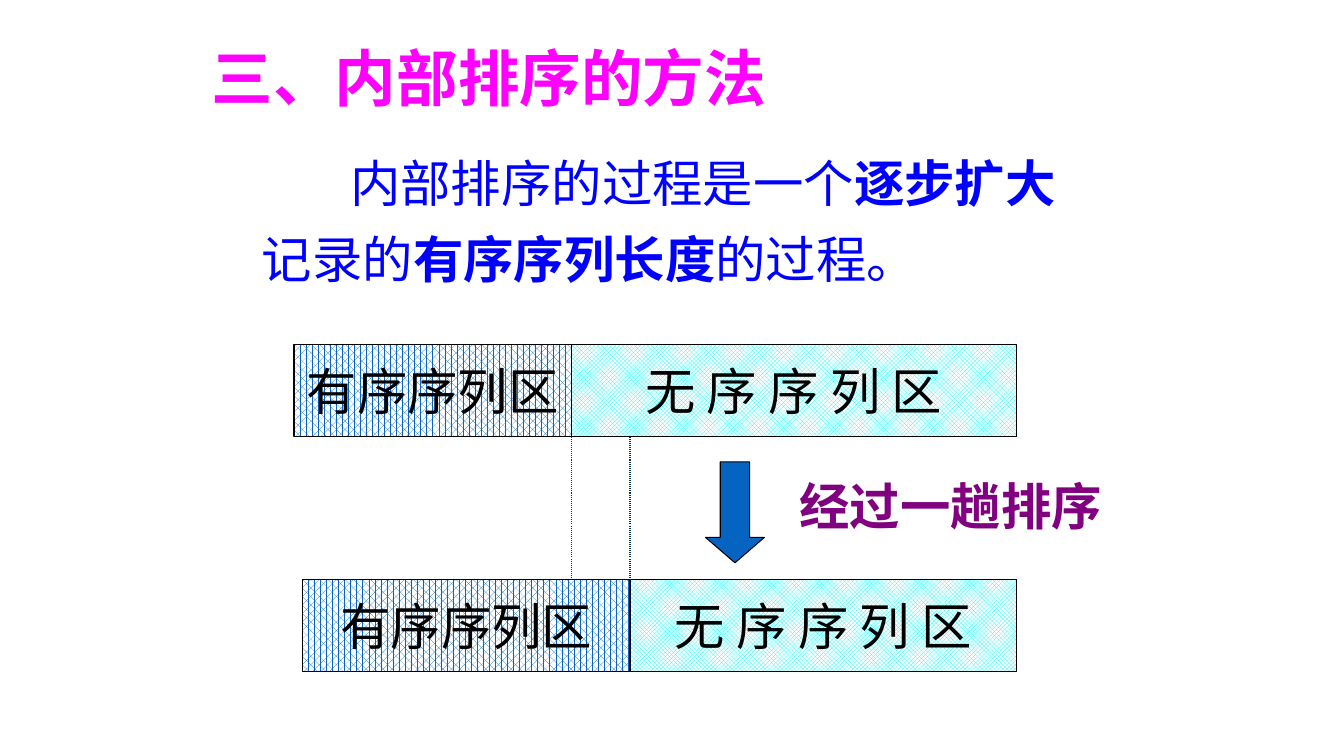
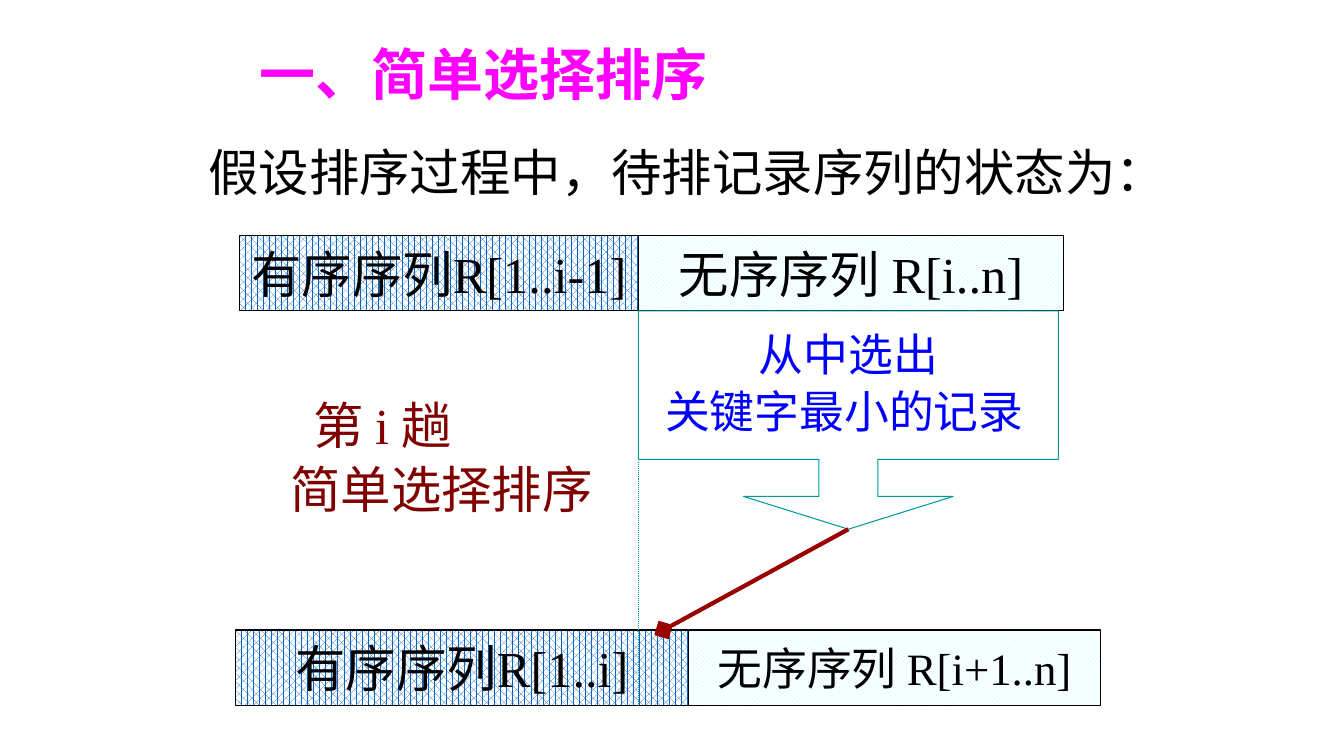
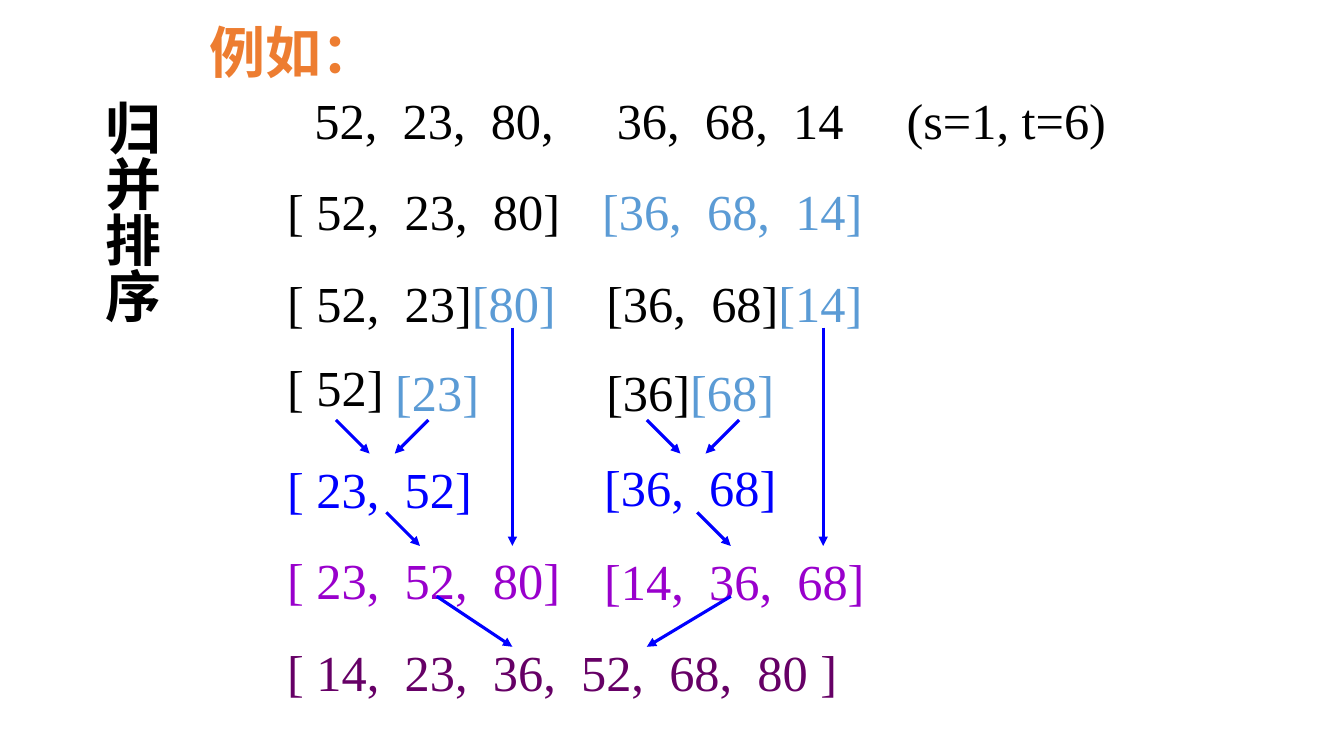
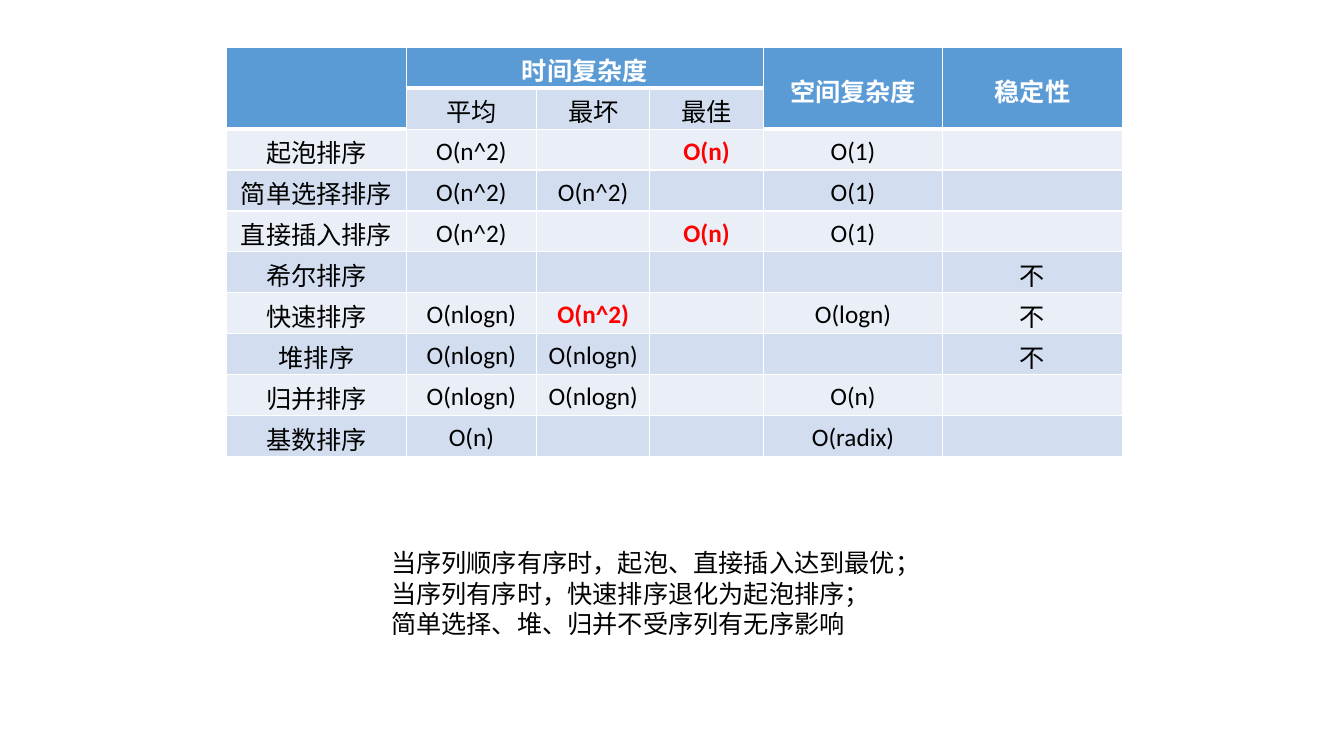
import dataclasses

import lxml.etree
import pptx
import pptx.dml.color
import pptx.enum.dml
import pptx.enum.lang
import pptx.enum.shapes
import pptx.enum.text
import pptx.oxml.ns
import pptx.util

PX = 9525
SHAPE = pptx.enum.shapes.MSO_SHAPE
ALIGN = pptx.enum.text.PP_ALIGN
ANCHOR = pptx.enum.text.MSO_ANCHOR
PATTERN = pptx.enum.dml.MSO_PATTERN
DASH = pptx.enum.dml.MSO_LINE
qn = pptx.oxml.ns.qn


@dataclasses.dataclass(frozen=True)
class Theme:
    serif: str = "Times New Roman"
    sans: str = "Calibri"
    black: str = "000000"
    white: str = "FFFFFF"
    title: str = "FF00FF"
    example: str = "ED7D31"
    blue: str = "0000FF"
    sorted_area: str = "0563C1"
    unsorted_area: str = "00FFFF"
    pale_area: str = "CCFFFF"
    guide: str = "003366"
    teal: str = "009999"
    caption: str = "800080"
    maroon: str = "800000"
    pick: str = "990000"
    second_half: str = "5B9BD5"
    merged: str = "9900CC"
    result: str = "660066"
    header: str = "5B9BD5"
    band_dark: str = "D2DEEF"
    band_light: str = "EAEFF7"
    highlight: str = "FF0000"
    heading_size: int = 44
    title_size: int = 40
    body_size: int = 36
    label_size: int = 32
    small_size: int = 18


THEME = Theme()
BODY = {"name": THEME.serif, "size": THEME.body_size, "bold": False, "color": THEME.black}
SMALL = {**BODY, "name": THEME.sans, "size": THEME.small_size}


def px(*lengths):
    return [pptx.util.Emu(length * PX) for length in lengths]


def rgb(value):
    return pptx.dml.color.RGBColor.from_string(value)


def write(frame, paragraphs, look, align=ALIGN.LEFT, anchor=ANCHOR.TOP, wrap=False,
          spacing=None, indent=0, stops=()):
    """Fill a frame; a paragraph is a list of (text, changes to look), indent is for the first."""
    settings = {"word_wrap": wrap, "vertical_anchor": anchor,
                "auto_size": pptx.enum.text.MSO_AUTO_SIZE.NONE}
    for key, value in settings.items():
        setattr(frame, key, value)
    for number, runs in enumerate(paragraphs):
        paragraph = frame.add_paragraph() if number else frame.paragraphs[0]
        paragraph.alignment = align
        if spacing:
            paragraph.line_spacing = spacing
        properties = paragraph._p.get_or_add_pPr()
        if indent and number == 0:
            properties.set("indent", str(indent * PX))
        if stops:
            tab_list = lxml.etree.SubElement(properties, qn("a:tabLst"))
            for stop in stops:
                lxml.etree.SubElement(tab_list, qn("a:tab"), pos=str(stop * PX), algn="l")
        for text, changes in runs:
            run = paragraph.add_run()
            run.text = text
            values = {**look, **changes}
            run.font.color.rgb = rgb(values.pop("color"))
            values["size"] = pptx.util.Pt(values["size"])
            values["language_id"] = pptx.enum.lang.MSO_LANGUAGE_ID.SIMPLIFIED_CHINESE
            for key, value in values.items():
                setattr(run.font, key, value)


def add_text(slide, box, paragraphs, look=BODY, **layout):
    frame = slide.shapes.add_textbox(*px(*box)).text_frame
    write(frame, paragraphs, look, **layout)
    return frame


def titled_slide(deck, box, text, **changes):
    slide = deck.slides.add_slide(deck.slide_layouts[5])
    title = slide.shapes.title
    for side, length in zip(("left", "top", "width", "height"), px(*box)):
        setattr(title, side, length)
    look = {**BODY, "size": THEME.title_size, "bold": True, "color": THEME.title}
    write(title.text_frame, [[(text, changes)]], look, wrap=True)
    return slide


def add_shape(slide, kind, box, line, adjustments=()):
    shape = slide.shapes.add_shape(kind, *px(*box))
    shape.shadow.inherit = False
    shape.line.color.rgb = rgb(line)
    shape.line.width = pptx.util.Pt(0.75)
    for number, value in enumerate(adjustments):
        shape.adjustments[number] = value
    return shape


def add_line(slide, ends, color, width=0.75, dash=None, tip=None, tip_size="med"):
    connector = slide.shapes.add_connector(
        pptx.enum.shapes.MSO_CONNECTOR.STRAIGHT, *px(*ends))
    lxml.etree.SubElement(connector._element.spPr, qn("a:effectLst"))
    connector.line.color.rgb = rgb(color)
    connector.line.width = pptx.util.Pt(width)
    if dash:
        connector.line.dash_style = dash
    if tip:
        lxml.etree.SubElement(connector.line._get_or_add_ln(), qn("a:tailEnd"),
                              type=tip, w=tip_size, len=tip_size)
    return connector


def sequence_bar(slide, box, sorted_width, labels, unsorted_color, unsorted_size=THEME.body_size):
    """Draw a record sequence split into its sorted and unsorted areas."""
    left, top, width, height = box
    areas = (
        (left, sorted_width, PATTERN.PERCENT_60, THEME.sorted_area, THEME.body_size),
        (left + sorted_width, width - sorted_width, PATTERN.TRELLIS, unsorted_color, unsorted_size),
    )
    for label, (start, extent, pattern, color, size) in zip(labels, areas):
        area = add_shape(slide, SHAPE.RECTANGLE, (start, top, extent, height), THEME.black)
        area.fill.patterned()
        area.fill.pattern = pattern
        area.fill.fore_color.rgb = rgb(color)
        area.fill.back_color.rgb = rgb(THEME.white)
        write(area.text_frame, [[(label, {"size": size})]], BODY,
              align=ALIGN.CENTER, anchor=ANCHOR.MIDDLE)


def methods_slide(deck):
    slide = titled_slide(deck, (192, 33, 640, 80), "三、内部排序的方法", size=THEME.heading_size)
    bold = {"bold": True}
    add_text(slide, (240, 126, 824, 162), [
        [("内部排序的过程是一个", {}), ("逐步扩大", bold)],
        [("记录的", {}), ("有序序列长度", bold), ("的过程。", {})],
    ], {**BODY, "color": THEME.blue}, wrap=True, spacing=1.25, indent=84)
    add_text(slide, (752, 448, 368, 67),
             [[("经过一趟排序", {"color": THEME.caption, "bold": True})]])
    right, height, before, after = 968, 88, 328, 552
    for left, top, split in ((280, before, 544), (288, after, 600)):
        sequence_bar(slide, (left, top, right - left, height), split - left,
                     ("有序序列区", "无 序 序 列 区"), THEME.unsorted_area)
        add_line(slide, (split, before + height, split, after), THEME.guide, dash=DASH.ROUND_DOT)
    step = add_shape(slide, SHAPE.DOWN_ARROW, (672, 440, 56, 96), THEME.black, (0.5, 0.43))
    step.fill.solid()
    step.fill.fore_color.rgb = rgb(THEME.sorted_area)


def selection_slide(deck):
    slide = titled_slide(deck, (238, 33, 540, 74), "一、简单选择排序")
    add_text(slide, (189, 130, 931, 67), [[("假设排序过程中，待排记录序列的状态为：", {})]])
    sequence_bar(slide, (228, 224, 785, 72), 380,
                 ("有序序列R[1..i-1]", "无序序列 R[i..n]"), THEME.pale_area)
    add_text(slide, (267, 368, 325, 131), [[("第 i 趟", {})], [("简单选择排序", {})]],
             {**BODY, "color": THEME.maroon}, wrap=True, spacing=1.05, indent=22)
    choice = add_text(slide, (624, 304, 368, 118), [[("从中选出", {})], [("关键字最小的记录", {})]],
                      {**BODY, "color": THEME.blue, "size": THEME.label_size},
                      align=ALIGN.CENTER, wrap=True, spacing=1.05)
    choice.paragraphs[1].alignment = ALIGN.LEFT
    callout = add_shape(slide, SHAPE.DOWN_ARROW_CALLOUT, (608, 296, 400, 208), THEME.teal,
                        (0.27, 0.48, 0.15, 0.68))
    callout.fill.background()
    sequence_bar(slide, (224, 600, 824, 72), 432,
                 ("有序序列R[1..i]", "无序序列 R[i+1..n]"), THEME.pale_area, THEME.label_size)
    pick = add_line(slide, (808, 504, 632, 600), THEME.pick, 3, tip="diamond", tip_size="lg")
    pick.begin_connect(callout, 2)
    add_line(slide, (608, 440, 608, 672), THEME.teal, dash=DASH.ROUND_DOT)


def number_row(slide, left, top, runs, stops=None):
    """Write a row of numbers set on tabs one number pitch apart after its opening bracket."""
    pitch, space, bracket = 84, 12, 16
    lead = bracket + (space if runs[0][0].startswith("[ ") else 0)
    stops = stops or [lead + pitch * place for place in range(1, 6)]
    add_text(slide, (left, top, 860, 67),
             [[(text, {"color": color}) for text, color in runs]], wrap=True, stops=stops)


def merge_slide(deck):
    slide = titled_slide(deck, (190, 12, 240, 74), "例如：", color=THEME.example)
    black, half = THEME.black, THEME.second_half
    number_row(slide, 290, 80, [("52,\t23,\t80,\t36,\t68,\t14\t(s=1, t=6)", black)],
               (84, 168, 288, 372, 456, 564))
    number_row(slide, 264, 167, [("[ 52,\t23,\t80]\t", black), ("[36,\t68,\t14]", half)],
               (112, 196, 300, 400, 484))
    rows = (
        (264, 254, [("[ 52,\t23]", black), ("[80]", half)]),
        (264, 334, [("[ 52]", black)]),
        (264, 432, [("[ 23,\t52]", THEME.blue)]),
        (264, 518, [("[ 23,\t52,\t80]", THEME.merged)]),
        (568, 254, [("[36,\t68]", black), ("[14]", half)]),
        (568, 339, [("[36]", black), ("[68]", half)]),
        (566, 430, [("[36,\t68]", THEME.blue)]),
        (566, 519, [("[14,\t36,\t68]", THEME.merged)]),
        (264, 606, [("[ 14,\t23,\t36,\t52,\t68,\t80 ]", THEME.result)]),
        (367, 339, [("[23]", half)]),
    )
    for row in rows:
        number_row(slide, *row)
    half_merges = ((320, 400, 352, 432), (408, 400, 376, 432),
                   (368, 488, 400, 520), (488, 312, 488, 520))
    merges = [(x1 + shift, y1, x2 + shift, y2)
              for shift in (0, 296) for x1, y1, x2, y2 in half_merges]
    for ends in merges + [(416, 568, 488, 616), (696, 568, 616, 616)]:
        add_line(slide, ends, THEME.blue, 2.25, tip="triangle")
    method = add_text(slide, (78, 86, 84, 222), [[("归并排序", {})]],
                      {**BODY, "name": THEME.sans, "size": THEME.title_size, "bold": True})
    method._txBody.bodyPr.set("vert", "eaVert")


def add_borders(cell, bottom):
    properties = cell._tc.get_or_add_tcPr()
    for side, width in (("L", 1), ("R", 1), ("T", 1), ("B", bottom)):
        border = lxml.etree.SubElement(properties, qn("a:ln" + side), w=str(pptx.util.Pt(width)))
        fill = lxml.etree.SubElement(border, qn("a:solidFill"))
        lxml.etree.SubElement(fill, qn("a:srgbClr"), val=THEME.white)


def complexity_table(slide, left, top):
    widths, row_height = (171, 124, 108, 108, 171, 171), 39
    rows = (
        ("", "时间复杂度", "", "", "空间复杂度", "稳定性"),
        ("", "平均", "最坏", "最佳", "", ""),
        ("起泡排序", "O(n^2)", "", "O(n)", "O(1)", ""),
        ("简单选择排序", "O(n^2)", "O(n^2)", "", "O(1)", ""),
        ("直接插入排序", "O(n^2)", "", "O(n)", "O(1)", ""),
        ("希尔排序", "", "", "", "", "不"),
        ("快速排序", "O(nlogn)", "O(n^2)", "", "O(logn)", "不"),
        ("堆排序", "O(nlogn)", "O(nlogn)", "", "", "不"),
        ("归并排序", "O(nlogn)", "O(nlogn)", "", "O(n)", ""),
        ("基数排序", "O(n)", "", "", "O(radix)", ""),
    )
    highlights = {(2, 3), (4, 3), (6, 2)}
    tall_headers = (0, 4, 5)
    top_margin, bottom_margin = px(4, 0)
    cell_layout = {"margin_top": top_margin, "margin_bottom": bottom_margin,
                   "vertical_anchor": ANCHOR.MIDDLE}
    box = px(left, top, sum(widths), row_height * len(rows))
    table = slide.shapes.add_table(len(rows), len(widths), *box).table
    for column, width in zip(table.columns, px(*widths)):
        column.width = width
    for r, row in enumerate(rows):
        table.rows[r].height = px(row_height)[0]
        for c, text in enumerate(row):
            cell = table.cell(r, c)
            is_header = r == 0 or (r == 1 and c in tall_headers)
            add_borders(cell, 3 if is_header else 1)
            band = THEME.band_dark if r % 2 else THEME.band_light
            cell.fill.solid()
            cell.fill.fore_color.rgb = rgb(THEME.header if is_header else band)
            for key, value in cell_layout.items():
                setattr(cell, key, value)
            if not text:
                continue
            changes = {}
            if is_header:
                changes = {"color": THEME.white, "bold": True}
            elif (r, c) in highlights:
                changes = {"color": THEME.highlight, "bold": True}
            write(cell.text_frame, [[(text, changes)]], SMALL, align=ALIGN.CENTER, wrap=True)
    table.cell(0, 1).merge(table.cell(0, 3))
    for c in tall_headers:
        table.cell(0, c).merge(table.cell(1, c))


def complexity_slide(deck):
    slide = deck.slides.add_slide(deck.slide_layouts[6])
    complexity_table(slide, 216, 45)
    remarks = ("当序列顺序有序时，起泡、直接插入达到最优；",
               "当序列有序时，快速排序退化为起泡排序；",
               "简单选择、堆、归并不受序列有无序影响")
    add_text(slide, (363, 517, 528, 97), [[(remark, {})] for remark in remarks], SMALL)


def main():
    deck = pptx.Presentation()
    deck.slide_width, deck.slide_height = px(1280, 720)
    for build in (methods_slide, selection_slide, merge_slide, complexity_slide):
        build(deck)
    deck.save("out.pptx")


if __name__ == "__main__":
    main()
